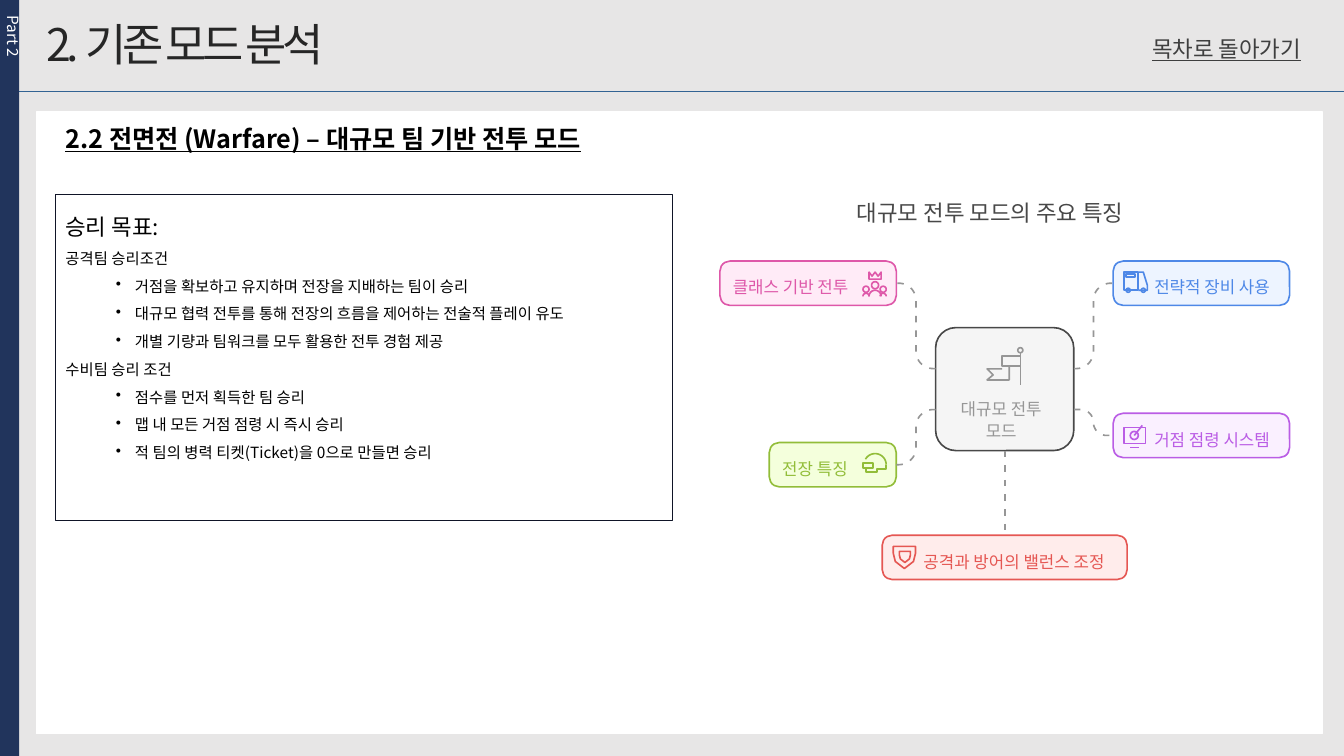
import math

import pptx
import pptx.dml.color
import pptx.enum.shapes
import pptx.enum.text
import pptx.oxml
import pptx.oxml.ns
import pptx.util
from pptx.util import Inches

FONT = "Noto Sans CJK KR"
COLORS = {
    "background": "E7E6E6", "panel": "FFFFFF", "bar": "21345C", "rule": "326393",
    "title": "262626", "link": "3F3F3F", "text": "000000", "frame": "0F1427",
    "dark": "484848", "gray": "969696", "hub": "F5F5F5",
    "pink": "DE58A9", "pink_fill": "FFEBF7", "blue": "4E88E7", "blue_fill": "EDF4FF",
    "purple": "BA5DE5", "purple_fill": "FAF0FF", "green": "92BD39", "green_fill": "F4FFDC",
    "red": "E55753", "red_fill": "FFECEB",
}
GOALS = [
    ("공격팀 승리조건", ["거점을 확보하고 유지하며 전장을 지배하는 팀이 승리",
                  "대규모 협력 전투를 통해 전장의 흐름을 제어하는 전술적 플레이 유도",
                  "개별 기량과 팀워크를 모두 활용한 전투 경험 제공"]),
    ("수비팀 승리 조건", ["점수를 먼저 획득한 팀 승리",
                   "맵 내 모든 거점 점령 시 즉시 승리",
                   "적 팀의 병력 티켓(Ticket)을 0으로 만들면 승리"]),
]
LINE_WIDTH = 1.17
FEATURE_HEIGHT = 0.44
# Text, colour, icon, box left, top and width
FEATURES = [
    ("클래스 기반 전투", "pink", "team", 7.14, 2.59, 1.75),
    ("전략적 장비 사용", "blue", "truck", 11.04, 2.59, 1.75),
    ("거점 점령 시스템", "purple", "monitor", 11.04, 4.1, 1.75),
    ("전장 특징", "green", "helmet", 7.63, 4.39, 1.26),
    ("공격과 방어의 밸런스 조정", "red", "shield", 8.75, 5.31, 2.43),
]


def arc(x, y, radius, start=0, end=360):
    steps = [math.radians(start + (end - start) * step / 16) for step in range(17)]
    return [(x + radius * math.cos(angle), y + radius * math.sin(angle)) for angle in steps]


def outline(x, y, width, height):
    right, bottom = x + width, y + height
    return [(x, y), (right, y), (right, bottom), (x, bottom), (x, y)]


# Icon strokes, in hundredths of an inch from the icon's corner
SHIELD = [(11, 22), (2, 15), (0, 7), (0, 0), (22, 0), (22, 7), (20, 15), (11, 22)]
ICONS = {
    "flag": [[(33, 5), (33, 37)], arc(33, 2.5, 2.5), outline(15, 8, 18, 10),
             [(15, 21), (0, 21), (6, 27), (0, 32), (22, 32), (22, 18)]],
    "truck": [outline(0, 0, 14, 18), outline(2, 2, 9, 3), arc(4, 18, 2), arc(19, 18, 2),
              [(14, 0), (19, 0), (23, 13), (23, 18), (14, 18)]],
    "monitor": [outline(0, 3, 21, 16), [(6, 23), (15, 23)], arc(10, 11, 4), [(10, 11), (18, 1)]],
    "helmet": [outline(0, 9, 10, 5), arc(12, 11, 11, 0, -150),
               [(3, 14), (3, 18), (14, 18), (14, 15), (23, 15), (23, 11)]],
    "shield": [SHIELD, [(6 + x / 2, 5 + y / 2) for x, y in SHIELD]],
    "team": [arc(12, 13, 3.5), arc(12, 24, 6, 180, 360),
             [(6, 7), (6, 0), (9, 4), (12, 0), (15, 4), (18, 0), (18, 7), (6, 7)],
             *[arc(x, 17, 3) for x in (3, 20)], *[arc(x, 24, 3, 180, 360) for x in (3, 20)]],
}


def rgb(name):
    return pptx.dml.color.RGBColor.from_string(COLORS[name])


def set_line(shape, color, width, dashed=False):
    shape.line.color.rgb = rgb(color)
    shape.line.width = pptx.util.Pt(width)
    if dashed:
        namespace = pptx.oxml.ns.nsdecls("a")
        shape.line._get_or_add_ln().append(pptx.oxml.parse_xml(
            f'<a:custDash {namespace}><a:ds d="400000" sp="500000"/></a:custDash>'))


def add_box(slide, box, fill=None, line=None, width=1, radius=0):
    kinds = pptx.enum.shapes.MSO_SHAPE
    kind = kinds.ROUNDED_RECTANGLE if radius else kinds.RECTANGLE
    shape = slide.shapes.add_shape(kind, *map(Inches, box))
    shape.shadow.inherit = False
    if radius:
        shape.adjustments[0] = radius / min(box[2:])
    if fill:
        shape.fill.solid()
        shape.fill.fore_color.rgb = rgb(fill)
    else:
        shape.fill.background()
    if line:
        set_line(shape, line, width)
    else:
        shape.line.fill.background()
    return shape


def add_strokes(slide, strokes, color, dashed=False):
    points = [[(Inches(x), Inches(y)) for x, y in stroke] for stroke in strokes]
    builder = slide.shapes.build_freeform(*points[0][0])
    builder.add_line_segments(points[0][1:], close=False)
    for stroke in points[1:]:
        builder.move_to(*stroke[0])
        builder.add_line_segments(stroke[1:], close=False)
    shape = builder.convert_to_shape()
    shape.shadow.inherit = False
    shape.fill.background()
    set_line(shape, color, LINE_WIDTH, dashed)


def add_line(slide, start, end, color, width, dashed=False):
    straight = pptx.enum.shapes.MSO_CONNECTOR.STRAIGHT
    connector = slide.shapes.add_connector(straight, *map(Inches, start + end))
    set_line(connector, color, width, dashed)
    effects = pptx.oxml.parse_xml(f'<a:effectLst {pptx.oxml.ns.nsdecls("a")}/>')
    connector._element.spPr.append(effects)
    return connector


def write(paragraph, text, color, size, spacing=None, **formats):
    run = paragraph.add_run()
    run.text = text
    run.font.color.rgb = rgb(color)
    for name, value in {"name": FONT, "size": pptx.util.Pt(size), **formats}.items():
        setattr(run.font, name, value)
    properties = run._r.get_or_add_rPr()
    properties.append(pptx.oxml.parse_xml(
        f'<a:ea {pptx.oxml.ns.nsdecls("a")} typeface="{FONT}"/>'))
    if spacing:
        properties.set("spc", str(spacing))


def add_label(slide, box, text, color, size, wrap=False, **formats):
    frame = slide.shapes.add_textbox(*map(Inches, box)).text_frame
    frame.word_wrap = wrap
    write(frame.paragraphs[0], text, color, size, **formats)
    return frame


def add_header(slide, left, top, width, height):
    add_line(slide, (left, top + height), (left + width, top + height), "rule", 0.5)
    add_label(slide, (left + 0.17, top + 0.12, 3.13, 0.64), "2. 기존 모드 분석", "title", 32,
              spacing=-300)
    add_label(slide, (left + 11.14, top + 0.3, 1.87, 0.37), "목차로 돌아가기", "link", 16,
              wrap=True, underline=True)


def add_side_bar(slide, left, top, width, height):
    add_box(slide, (left, top, width, height), "bar")
    frame = add_label(slide, (left - 0.11, top + 0.06, 0.39, 2.02), "Part 2", "panel", 11, wrap=True)
    frame._txBody.bodyPr.set("vert", "eaVert")


def add_goals(slide, left, top, width, height):
    frame = add_box(slide, (left, top, width, height), line="frame", width=0.75).text_frame
    frame.word_wrap = True
    frame.vertical_anchor = pptx.enum.text.MSO_ANCHOR.TOP
    rows = [("승리 목표:", 16, False)]
    for heading, items in GOALS:
        rows += [(heading, 11, False)] + [(item, 11, True) for item in items]
    for index, (text, size, bulleted) in enumerate(rows):
        paragraph = frame.add_paragraph() if index else frame.paragraphs[0]
        paragraph.alignment = pptx.enum.text.PP_ALIGN.LEFT
        paragraph.line_spacing = 1.5
        if bulleted:
            paragraph.level = 1
            properties = paragraph._p.get_or_add_pPr()
            properties.set("marL", str(Inches(0.69)))
            properties.set("indent", str(Inches(-0.19)))
            properties.append(pptx.oxml.parse_xml(
                f'<a:buChar {pptx.oxml.ns.nsdecls("a")} char="•"/>'))
        write(paragraph, text, "text", size)


def add_icon(slide, name, left, top, color):
    strokes = [[(left + x / 100, top + y / 100) for x, y in stroke] for stroke in ICONS[name]]
    add_strokes(slide, strokes, color)


def add_link(slide, start, end):
    """Dashed elbow with two rounded turns."""
    (x1, y1), (x2, y2) = start, end
    across, down = math.copysign(1, x2 - x1), math.copysign(1, y2 - y1)
    radius, middle = min(0.17, abs(y2 - y1) / 2), (x1 + x2) / 2
    quarter = arc(0, 0, radius, 0, 90)
    first = [(middle - across * (radius - x), y1 + down * (radius - y)) for x, y in quarter[::-1]]
    second = [(middle + across * (radius - x), y2 - down * (radius - y)) for x, y in quarter]
    add_strokes(slide, [[start, *first, *second, end]], "gray", dashed=True)


def add_hub(slide, left, top, width, height):
    hub = add_box(slide, (left, top, width, height), "hub", "dark", LINE_WIDTH, 0.2)
    add_icon(slide, "flag", left + 0.51, top + 0.2, "gray")
    frame = add_label(slide, (left + 0.14, top + 0.64, 1.02, 0.52), "대규모 전투", "gray", 12)
    write(frame.add_paragraph(), "모드", "gray", 12)
    for paragraph in frame.paragraphs:
        paragraph.alignment = pptx.enum.text.PP_ALIGN.CENTER
        paragraph.line_spacing = pptx.util.Pt(15.5)
    return hub


def add_feature_map(slide, left, top):
    add_label(slide, (left + 1.26, top, 3.05, 0.37), "대규모 전투 모드의 주요 특징", "dark", 16)
    hub_left, hub_top, hub_width, hub_height = left + 2.14, top + 1.32, 1.37, 1.22
    hub_right, hub_bottom = hub_left + hub_width, hub_top + hub_height
    hub = add_hub(slide, hub_left, hub_top, hub_width, hub_height)
    for text, color, icon, x, y, width in FEATURES:
        shape = add_box(slide, (x, y, width, FEATURE_HEIGHT), color + "_fill", color, LINE_WIDTH, 0.1)
        right, middle = x + width, y + FEATURE_HEIGHT / 2
        on_left = right < hub_left
        # Icons sit at the side of the box that faces the hub
        add_icon(slide, icon, right - 0.33 if on_left else x + 0.11, y + 0.11, color)
        text_left = x + (0.03 if on_left else 0.31)
        add_label(slide, (text_left, y + 0.11, width - 0.32, 0.3), text, color, 12)
        if y > hub_bottom:
            center = hub_left + hub_width / 2
            connector = add_line(slide, (center, hub_bottom), (center, y), "gray", LINE_WIDTH, True)
            connector.begin_connect(hub, 2)
            connector.end_connect(shape, 0)
            continue
        link_top = hub_top + hub_height * (1 if y < hub_top else 2) / 3
        start, end = (hub_left, right) if on_left else (hub_right, x)
        add_link(slide, (start, link_top), (end, middle))


def main():
    presentation = pptx.Presentation()
    presentation.slide_width, presentation.slide_height = Inches(13.33), Inches(7.5)
    slide = presentation.slides.add_slide(presentation.slide_layouts[6])
    slide.background.fill.solid()
    slide.background.fill.fore_color.rgb = rgb("background")
    add_box(slide, (0.36, 1.11, 12.76, 6.17), "panel", "panel")
    add_header(slide, 0.19, 0, 13.14, 0.91)
    add_side_bar(slide, 0, 0, 0.19, 7.5)
    add_label(slide, (0.55, 1.17, 7.55, 0.4), "2.2 전면전 (Warfare) – 대규모 팀 기반 전투 모드",
              "text", 18, wrap=True, bold=True, underline=True)
    add_goals(slide, 0.55, 1.93, 6.12, 3.23)
    add_feature_map(slide, 7.14, 1.93)
    presentation.save("out.pptx")


if __name__ == "__main__":
    main()
